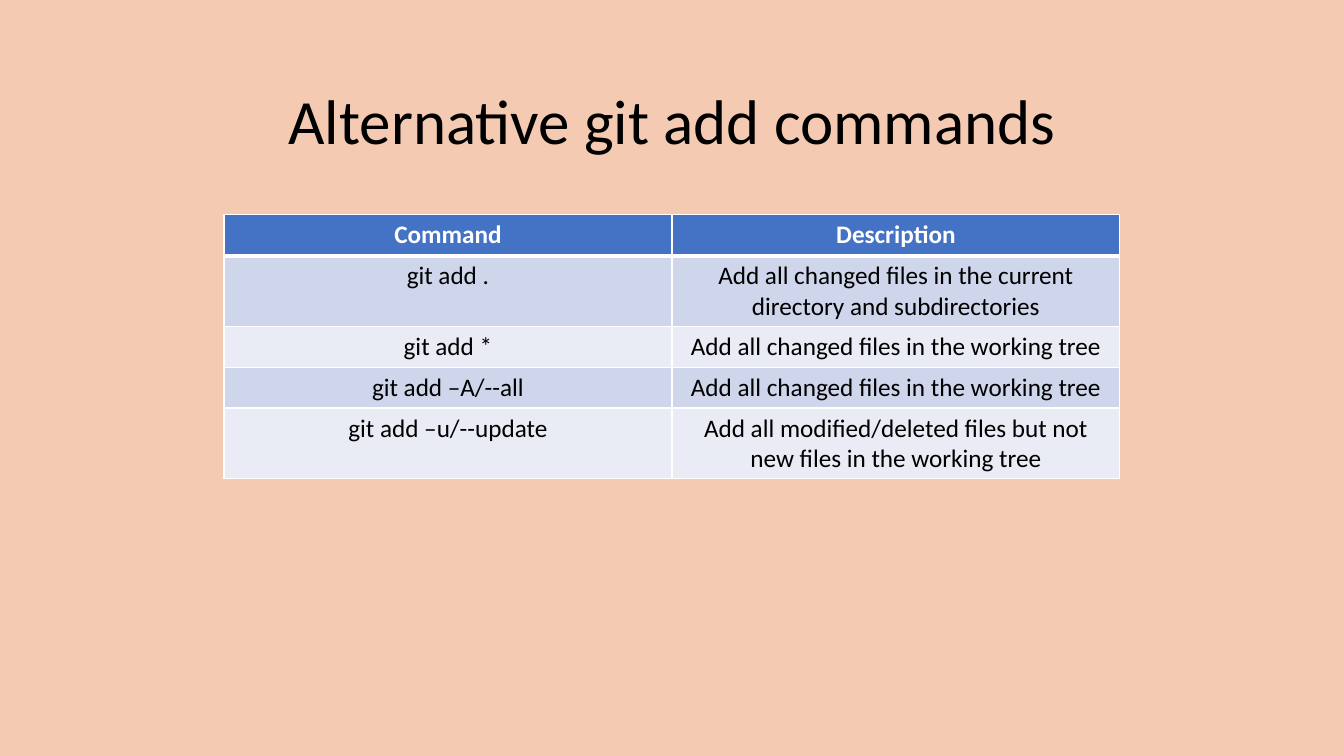
import pptx
import pptx.dml.color
import pptx.enum.text
import pptx.oxml
import pptx.oxml.ns
import pptx.util

Pt = pptx.util.Pt
COLORS = {
    "background": "F4CBB2", "text": "000000", "header": "4472C4",
    "odd": "CFD5EA", "even": "E9EBF5", "white": "FFFFFF",
}
TITLE_FONT = {"name": "Calibri", "size": Pt(45), "bold": False}
HEADER_FONT = {"name": "Calibri", "size": Pt(18), "bold": True}
BODY_FONT = {**HEADER_FONT, "bold": False}
COMMANDS = [
    ("Command", "Description"),
    ("git add .", "Add all changed files in the current directory and subdirectories"),
    ("git add *", "Add all changed files in the working tree"),
    ("git add –A/--all", "Add all changed files in the working tree"),
    ("git add –u/--update",
     "Add all modified/deleted files but not new files in the working tree"),
]
ROW_HEIGHTS = [29.2, 50.5, 29.2, 29.2, 50.5]


def rgb(name):
    """Return the named colour."""
    return pptx.dml.color.RGBColor.from_string(COLORS[name])


def write_text(tf, text, font, color):
    """Write one centred, formatted paragraph."""
    p = tf.paragraphs[0]
    p.alignment = pptx.enum.text.PP_ALIGN.CENTER
    r = p.add_run()
    r.text = text
    for key, value in font.items():
        setattr(r.font, key, value)
    r.font.color.rgb = rgb(color)


def add_borders(cell, widths):
    """Draw white cell borders from a dict of side and width in points."""
    tc_pr = cell._tc.get_or_add_tcPr()
    for side, width in widths.items():
        tc_pr.append(pptx.oxml.parse_xml(
            f'<a:ln{side} {pptx.oxml.ns.nsdecls("a")} w="{Pt(width)}"><a:solidFill>'
            f'<a:srgbClr val="{COLORS["white"]}"/></a:solidFill></a:ln{side}>'))


def add_title(s, left, top, width, height):
    """Add the slide title in the given box."""
    sp = s.shapes.add_textbox(Pt(left), Pt(top), Pt(width), Pt(height))
    sp.text_frame.word_wrap = True
    write_text(sp.text_frame, "Alternative git add commands", TITLE_FONT, "text")


def add_commands(s, left, top, width, height):
    """Add the command table in the given box."""
    table = s.shapes.add_table(
        len(COMMANDS), 2, Pt(left), Pt(top), Pt(width), Pt(height)).table
    for col in table.columns:
        col.width = Pt(width / 2)
    for i, texts in enumerate(COMMANDS):
        table.rows[i].height = Pt(ROW_HEIGHTS[i])
        fill = "header" if i == 0 else "odd" if i % 2 else "even"
        font, color = (BODY_FONT, "text") if i else (HEADER_FONT, "white")
        for j, text in enumerate(texts):
            cell = table.cell(i, j)
            write_text(cell.text_frame, text, font, color)
            add_borders(cell, {"L": 1, "R": 1, "T": 3 if i == 1 else 1,
                               "B": 1 if i else 3})
            cell.fill.solid()
            cell.fill.fore_color.rgb = rgb(fill)


def main():
    """Build and save the slide."""
    prs = pptx.Presentation()
    prs.slide_width, prs.slide_height = Pt(960), Pt(540)
    s = prs.slides.add_slide(prs.slide_layouts[6])
    s.background.fill.solid()
    s.background.fill.fore_color.rgb = rgb("background")
    add_title(s, 0, 55, 960, 62)
    add_commands(s, 160, 153.4, 640, sum(ROW_HEIGHTS))
    prs.save("out.pptx")


if __name__ == "__main__":
    main()
